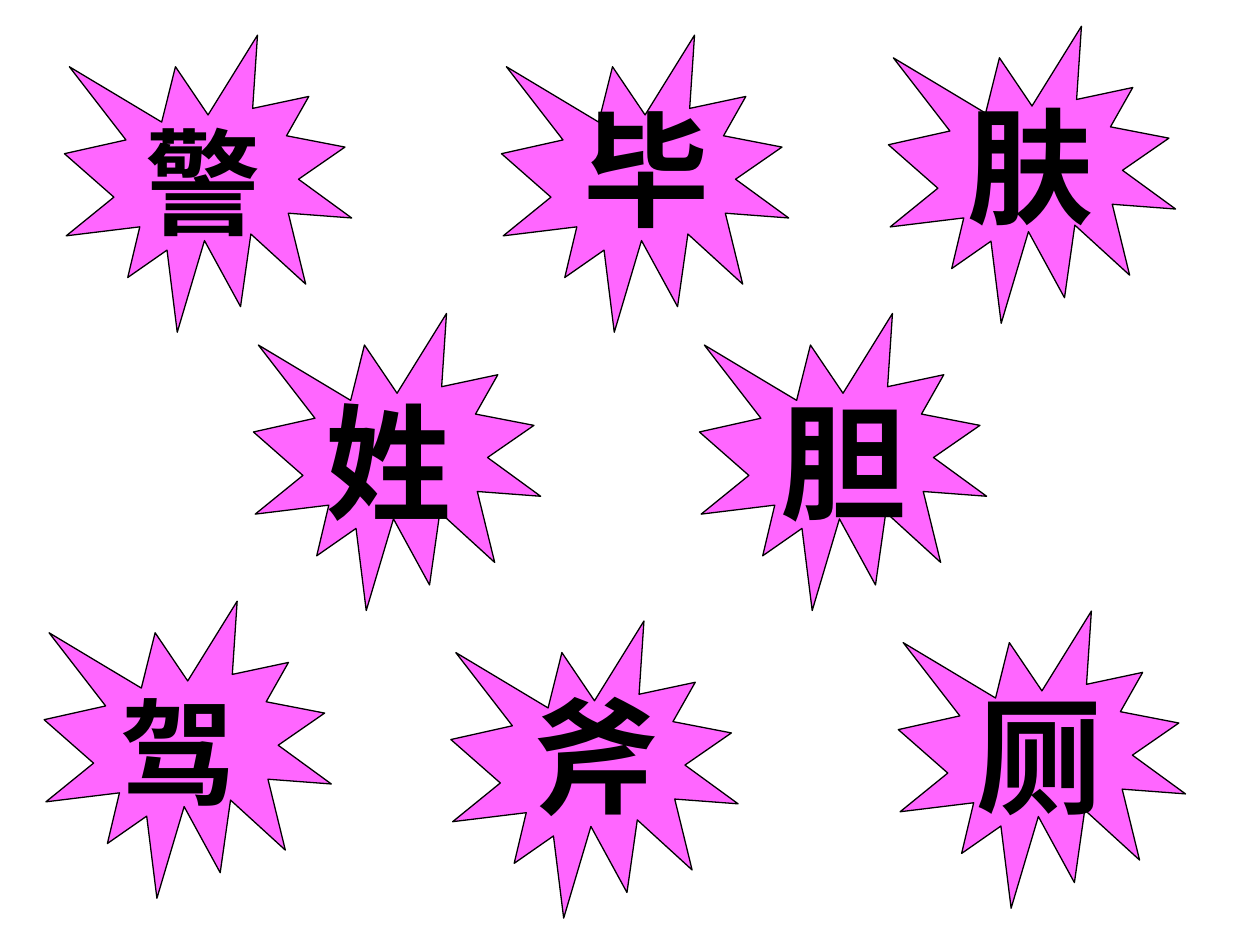
from pptx import Presentation
from pptx.dml.color import RGBColor
from pptx.enum.shapes import MSO_SHAPE
from pptx.enum.text import MSO_ANCHOR, MSO_AUTO_SIZE, PP_ALIGN
from pptx.util import Cm, Pt

BURST = MSO_SHAPE.EXPLOSION1
TOP = MSO_ANCHOR.TOP
LEFT = PP_ALIGN.LEFT
GROW = MSO_AUTO_SIZE.SHAPE_TO_FIT_TEXT

COLORS = {"burst": "FF66FF", "ink": "000000"}
FONT = "Arial"
BURST_W, BURST_H = 5.79, 5.99
LINE_HEIGHT = {66: 3.05, 72: 3.3}  # text box height in cm by font size

# character, burst (left, top), text box (left, top, width) in cm, font size
CARDS = [
    ("警", (1.3, 0.71), (2.69, 2.11, 3.0), 66),
    ("毕", (10.11, 0.71), (11.51, 1.73, 3.61), 72),
    ("肤", (17.91, 0.53), (19.25, 1.65, 3.4), 72),
    ("姓", (5.11, 6.32), (6.32, 7.62, 3.2), 72),
    ("胆", (14.1, 6.32), (15.49, 7.62, 3.81), 72),
    ("驾", (0.89, 12.12), (2.18, 13.61, 3.4), 66),
    ("斧", (9.09, 12.52), (10.49, 13.56, 3.4), 72),
    ("厕", (18.11, 12.32), (19.43, 13.56, 3.4), 72),
]


def rgb(name):
    return RGBColor.from_string(COLORS[name])


def add_burst(s, left, top):
    sp = s.shapes.add_shape(BURST, Cm(left), Cm(top), Cm(BURST_W), Cm(BURST_H))
    sp.shadow.inherit = False
    sp.fill.solid()
    sp.fill.fore_color.rgb = rgb("burst")
    sp.line.color.rgb = rgb("ink")
    sp.line.width = Pt(0.75)


def add_text(s, text, left, top, width, *, size, bold=True, color="ink"):
    sp = s.shapes.add_textbox(Cm(left), Cm(top), Cm(width), Cm(LINE_HEIGHT[size]))
    tf = sp.text_frame
    tf.word_wrap = True
    tf.auto_size = GROW
    tf.vertical_anchor = TOP
    p = tf.paragraphs[0]
    p.alignment = LEFT
    r = p.add_run()
    r.text = text
    r.font.name = FONT
    r.font.size = Pt(size)
    r.font.bold = bold
    r.font.color.rgb = rgb(color)


def main():
    prs = Presentation()
    prs.slide_width, prs.slide_height = Cm(25.4), Cm(19.05)
    s = prs.slides.add_slide(prs.slide_layouts[6])
    for _, corner, _, _ in CARDS:
        add_burst(s, *corner)
    for char, _, box, size in CARDS:
        add_text(s, char, *box, size=size)
    prs.save("out.pptx")


if __name__ == "__main__":
    main()
